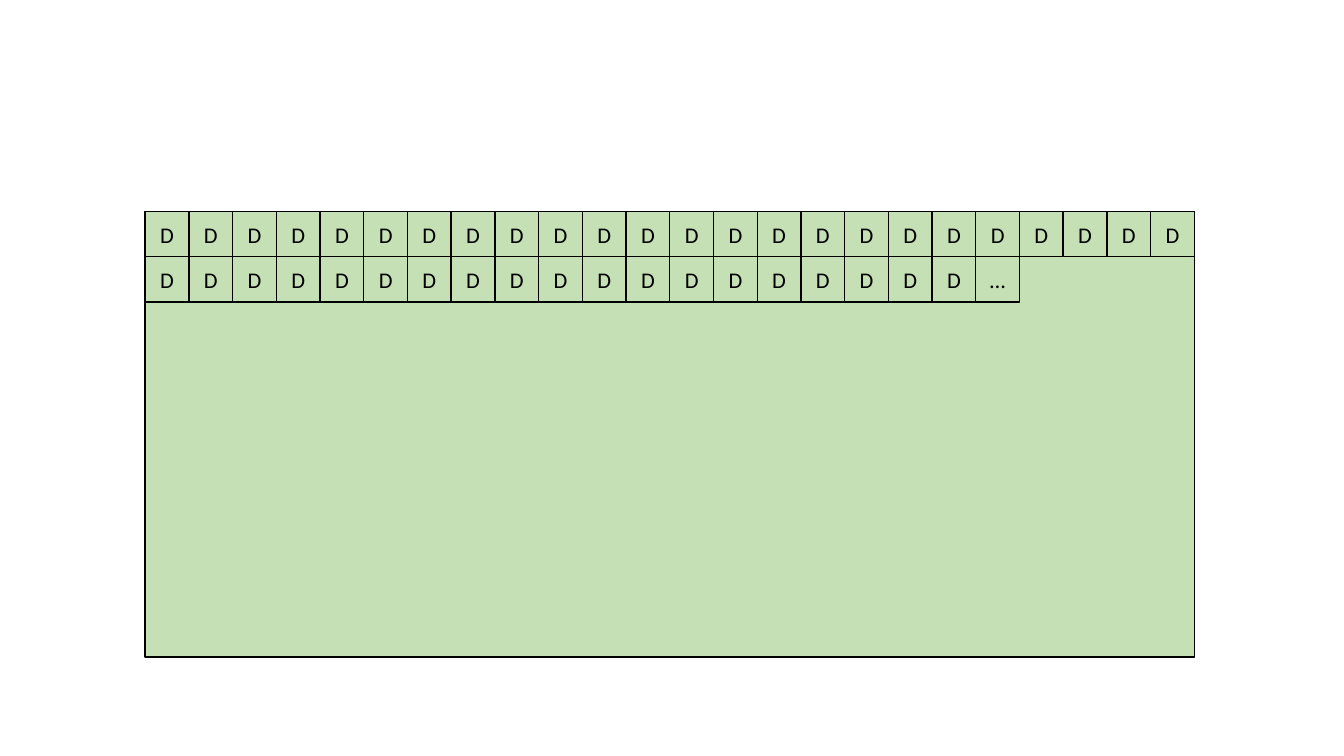
from pptx import Presentation
from pptx.dml.color import RGBColor
from pptx.enum.shapes import MSO_SHAPE as Preset
from pptx.enum.text import MSO_ANCHOR as Anchor, PP_ALIGN as Align
from pptx.util import Cm, Pt

GREEN = RGBColor(0xC5, 0xE0, 0xB4)
BLACK = RGBColor(0, 0, 0)

# Memory area and its grid, in centimetres
LEFT, TOP, WIDTH, HEIGHT = 3.66, 5.33, 26.44, 11.23
COLUMNS = 24
CELL_WIDTH = WIDTH / COLUMNS
CELL_HEIGHT = 1.14
ROWS = [["D"] * COLUMNS, ["D"] * 19 + ["…"]]


def write(box, text, font="Calibri", size=16, color=BLACK, align=Align.CENTER):
    """Put one formatted line of text in a box."""
    frame = box.text_frame
    frame.margin_left = frame.margin_right = 0
    frame.vertical_anchor = Anchor.MIDDLE
    para = frame.paragraphs[0]
    para.alignment = align
    span = para.add_run()
    span.text = text
    span.font.name = font
    span.font.size = Pt(size)
    span.font.color.rgb = color


class Painter:
    """Holds the shared style and the current slide."""

    def __init__(self, page, fill=GREEN, line=BLACK, line_width=1):
        self.page = page
        self.fill = fill
        self.line = line
        self.line_width = line_width

    def rectangle(self, left, top, width, height):
        box = self.page.shapes.add_shape(
            Preset.RECTANGLE, Cm(left), Cm(top), Cm(width), Cm(height))
        box.shadow.inherit = False
        box.fill.solid()
        box.fill.fore_color.rgb = self.fill
        box.line.color.rgb = self.line
        box.line.width = Pt(self.line_width)
        return box

    def cell(self, row, column, text):
        box = self.rectangle(LEFT + column * CELL_WIDTH,
                             TOP + row * CELL_HEIGHT,
                             CELL_WIDTH, CELL_HEIGHT)
        write(box, text)


deck = Presentation()
deck.slide_width = Cm(33.87)
deck.slide_height = Cm(19.05)
painter = Painter(deck.slides.add_slide(deck.slide_layouts[6]))

# Whole area
painter.rectangle(LEFT, TOP, WIDTH, HEIGHT)

# Data cells
for row, labels in enumerate(ROWS):
    for column, label in enumerate(labels):
        painter.cell(row, column, label)

deck.save("out.pptx")
